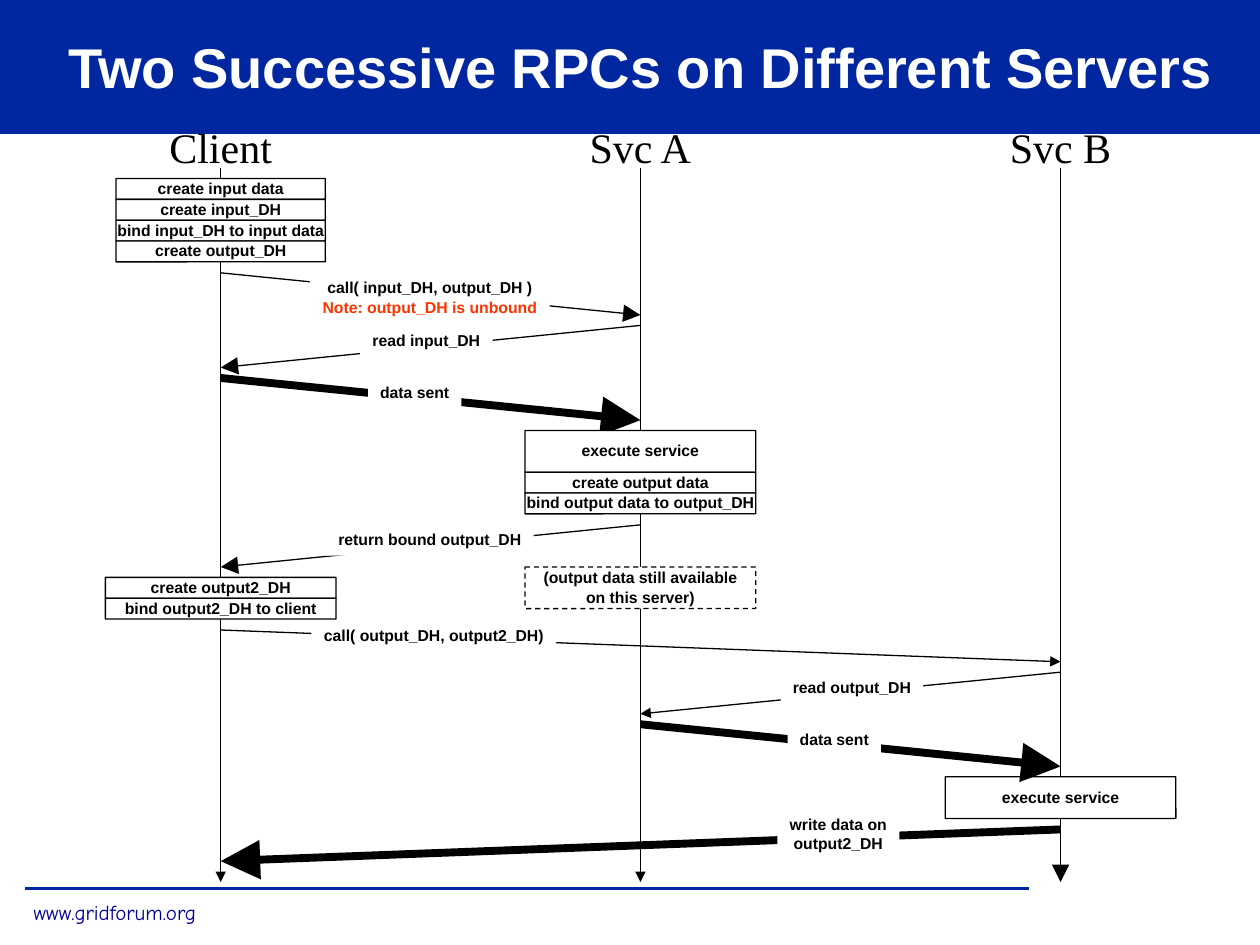
from lxml.etree import SubElement
from pptx import Presentation
from pptx.dml.color import RGBColor
from pptx.enum.dml import MSO_LINE
from pptx.enum.shapes import MSO_CONNECTOR, MSO_SHAPE
from pptx.enum.text import MSO_ANCHOR, PP_ALIGN
from pptx.oxml.ns import qn
from pptx.util import Cm, Pt

BLACK, WHITE, BLUE, NAVY, RED = "000000", "FFFFFF", "00279F", "000099", "FF3300"
CLIENT, SERVER_A, SERVER_B = 4.45, 12.91, 21.38
THIN, THICK = 0.75, 4.5
ROW = 0.42
STEP_WIDTH = 4.65
HEADING_WIDTH = 3.2
LABEL_HEIGHTS = {1: 0.62, 2: 1}
TITLE = {"name": "Arial", "size": Pt(32), "bold": True}
HEADING = {"name": "Times New Roman", "size": Pt(24), "bold": False}
SMALL = {"name": "Arial", "size": Pt(9), "bold": True}
FOOTER = {"name": "Comic Neue", "size": Pt(12), "bold": False}

LIFELINES = [
    ("Client", CLIENT, "med"),
    ("Svc A", SERVER_A, "med"),
    ("Svc B", SERVER_B, "lg"),
]

EARLY_MESSAGES = [
    (CLIENT, 5.5, SERVER_A, 6.35, THIN, "lg", (6.25, 5.5, 4.83),
     [("call( input_DH, output_DH )", BLACK), ("Note: output_DH is unbound", RED)]),
    (SERVER_A, 6.56, CLIENT, 7.41, THIN, "lg", (7.26, 6.56, 2.67),
     [("read input_DH", BLACK)]),
    (CLIENT, 7.62, SERVER_A, 8.47, THICK, "lg", (7.42, 7.62, 1.88),
     [("data sent", BLACK)]),
    (CLIENT, 12.7, SERVER_B, 13.34, THIN, "med", (6.28, 12.5, 4.93),
     [("call( output_DH, output2_DH)", BLACK)]),
    (SERVER_A, 10.58, CLIENT, 11.43, THIN, "lg", (6.57, 10.58, 4.19),
     [("return bound output_DH", BLACK)]),
    (SERVER_B, 16.72, CLIENT, 17.36, THICK, "lg", (15.67, 16.31, 2.46),
     [("write data on", BLACK), ("output2_DH", BLACK)]),
]
LATE_MESSAGES = [
    (SERVER_B, 13.55, SERVER_A, 14.39, THIN, "med", (15.74, 13.55, 2.87),
     [("read output_DH", BLACK)]),
    (SERVER_A, 14.6, SERVER_B, 15.45, THICK, "lg", (15.88, 14.6, 1.88),
     [("data sent", BLACK)]),
]

STACKS = [
    (CLIENT, 3.6, 4.22, [
        (1, ["create input data"]), (1, ["create input_DH"]),
        (1, ["bind input_DH to input data"]), (1, ["create output_DH"])]),
    (SERVER_A, 8.68, STEP_WIDTH, [
        (2, ["execute service"]), (1, ["create output data"]),
        (1, ["bind output data to output_DH"])]),
    (CLIENT, 11.64, STEP_WIDTH, [
        (1, ["create output2_DH"]), (1, ["bind output2_DH to client"])]),
    (SERVER_B, 15.66, STEP_WIDTH, [(2, ["execute service"])]),
]


def color(value):
    """Turn a hex string into a colour."""
    return RGBColor.from_string(value)


def write(box, lines, style, align=PP_ALIGN.CENTER, anchor=MSO_ANCHOR.TOP,
          inset=(0.25, 0.13)):
    """Fill a box with one paragraph for each (text, colour) line."""
    frame = box.text_frame
    layout = {
        "word_wrap": False, "vertical_anchor": anchor,
        "margin_left": Cm(inset[0]), "margin_right": Cm(inset[0]),
        "margin_top": Cm(inset[1]), "margin_bottom": Cm(inset[1]),
    }
    for name, value in layout.items():
        setattr(frame, name, value)
    for index, (text, ink) in enumerate(lines):
        para = frame.add_paragraph() if index else frame.paragraphs[0]
        para.alignment = align
        if style["bold"] and not index:
            para.line_spacing = 0.96
        span = para.add_run()
        span.text = text
        for name, value in style.items():
            setattr(span.font, name, value)
        span.font.color.rgb = color(ink)


def add_text(page, left, top, width, height, lines, style, **options):
    """Add a plain text box."""
    box = page.shapes.add_textbox(Cm(left), Cm(top), Cm(width), Cm(height))
    write(box, lines, style, **options)


def add_box(page, left, top, width, height, fill=WHITE, line=None,
            kind=MSO_SHAPE.ROUNDED_RECTANGLE):
    """Add a filled box with almost square corners."""
    box = page.shapes.add_shape(kind, Cm(left), Cm(top), Cm(width), Cm(height))
    box.shadow.inherit = False
    if kind == MSO_SHAPE.ROUNDED_RECTANGLE:
        box.adjustments[0] = 0.01
    box.fill.solid()
    box.fill.fore_color.rgb = color(fill)
    if line:
        box.line.color.rgb = color(line)
        box.line.width = Pt(THIN)
    else:
        box.line.fill.background()
    return box


def add_line(page, x1, y1, x2, y2, ink, weight, head=None):
    """Add a straight line, with an arrowhead when a head size is given."""
    line = page.shapes.add_connector(
        MSO_CONNECTOR.STRAIGHT, Cm(x1), Cm(y1), Cm(x2), Cm(y2))
    line.line.color.rgb = color(ink)
    line.line.width = Pt(weight)
    if head:
        SubElement(line.line._get_or_add_ln(), qn("a:tailEnd"),
                   type="triangle", w=head, len=head)
    SubElement(line._element.spPr, qn("a:effectLst"))


def add_step(page, center, top, width, rows, texts):
    """Add an outlined step centred on a lifeline."""
    box = add_box(page, center - width / 2, top, width, rows * ROW, line=BLACK)
    write(box, [(text, BLACK) for text in texts], SMALL,
          anchor=MSO_ANCHOR.MIDDLE, inset=(0, 0))
    return box


def add_stack(page, center, top, width, steps):
    """Add steps one below the other."""
    for rows, texts in steps:
        add_step(page, center, top, width, rows, texts)
        top += rows * ROW


def add_message(page, x1, y1, x2, y2, weight, head, label, lines):
    """Add an arrow between lifelines with a label over it."""
    add_line(page, x1, y1, x2, y2, BLACK, weight, head)
    box = add_box(page, *label, LABEL_HEIGHTS[len(lines)])
    write(box, lines, SMALL)


def add_lifeline(page, name, x, head):
    """Add a lifeline with its heading."""
    add_line(page, x, 3.38, x, 17.78, BLACK, THIN, head)
    add_text(page, x - HEADING_WIDTH / 2, 2.32, HEADING_WIDTH, 1.27,
             [(name, BLACK)], HEADING)


def add_frame(page):
    """Add the title band and the footer."""
    add_box(page, 0, 0, 25.4, 2.7, fill=BLUE, kind=MSO_SHAPE.RECTANGLE)
    add_line(page, 0.51, 17.91, 20.75, 17.91, BLUE, 2)
    add_text(page, 0.43, 18.01, 3.78, 0.76, [("www.gridforum.org", NAVY)],
             FOOTER, align=PP_ALIGN.LEFT)
    add_text(page, 1.07, 0.43, 23.7, 1.91,
             [("Two Successive RPCs on Different Servers", WHITE)],
             TITLE, anchor=MSO_ANCHOR.MIDDLE)


def main():
    """Build the sequence diagram and save it."""
    deck = Presentation()
    deck.slide_width, deck.slide_height = Cm(25.4), Cm(19.05)
    page = deck.slides.add_slide(deck.slide_layouts[6])
    add_frame(page)
    for lifeline in LIFELINES:
        add_lifeline(page, *lifeline)
    for message in EARLY_MESSAGES:
        add_message(page, *message)
    for stack in STACKS:
        add_stack(page, *stack)
    note = add_step(page, SERVER_A, 11.43, STEP_WIDTH, 2,
                    ["(output data still available", "on this server)"])
    note.line.dash_style = MSO_LINE.DASH
    for message in LATE_MESSAGES:
        add_message(page, *message)
    deck.save("out.pptx")


if __name__ == "__main__":
    main()
